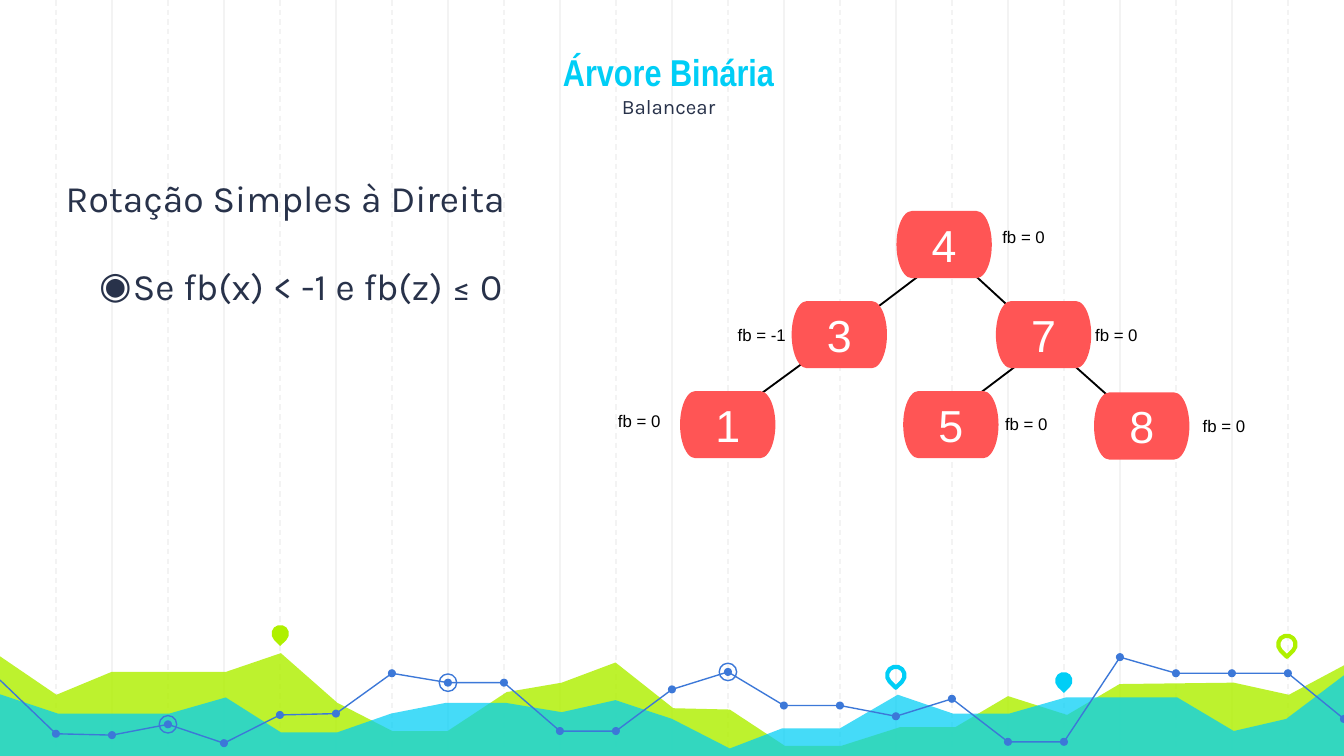
"""Build a slide on the simple right rotation of a balanced binary tree."""
from lxml.etree import SubElement
from pptx import Presentation
from pptx.dml.color import RGBColor
from pptx.enum.dml import MSO_LINE as Dash
from pptx.enum.shapes import MSO_CONNECTOR as Connector, MSO_SHAPE as Shape
from pptx.enum.text import MSO_ANCHOR as Anchor, PP_ALIGN as Align
from pptx.oxml.ns import qn
from pptx.util import Inches, Pt

GRID = RGBColor(0xF3, 0xF3, 0xF3)
LIME = RGBColor(0xAF, 0xF0, 0x00)
CYAN = RGBColor(0x00, 0xCE, 0xF6)
BLUE = RGBColor(0x3C, 0x78, 0xD8)
NAVY = RGBColor(0x28, 0x32, 0x4A)
RED = RGBColor(0xFF, 0x55, 0x55)
WHITE = RGBColor(0xFF, 0xFF, 0xFF)
BLACK = RGBColor(0x00, 0x00, 0x00)

TITLE = {"name": "Arial Narrow", "size": Pt(20), "bold": True}
SUBTITLE = {"name": "Karla", "size": Pt(11), "bold": False}
BODY = {"name": "Karla", "size": Pt(20)}
NODE = {"name": "Arial", "size": Pt(24)}
LABEL = {"name": "Arial", "size": Pt(9)}
STEP = 10 / 24


def paint(shape, fill=None, line=None, width=0.75):
    shape.shadow.inherit = False
    if fill is None:
        shape.fill.background()
    else:
        shape.fill.solid()
        shape.fill.fore_color.rgb = fill
    if line is None:
        shape.line.fill.background()
    else:
        shape.line.color.rgb = line
        shape.line.width = Pt(width)


def write(paragraph, text, font_format, color, align=Align.LEFT):
    paragraph.alignment = align
    run = paragraph.add_run()
    run.text = text
    for name, value in font_format.items():
        setattr(run.font, name, value)
    run.font.color.rgb = color


presentation = Presentation()
presentation.slide_width = Inches(10)
presentation.slide_height = Inches(10) * 9 // 16
slide = presentation.slides.add_slide(presentation.slide_layouts[6])
shapes = slide.shapes

lines = [
    (i * STEP, 0, i * STEP, 5.65, GRID, 0.75, Dash.DASH if i % 2 else Dash.SOLID)
    for i in range(1, 24)
]
edges = [
    (6.88, 2.02, 6.47, 2.33), (7.19, 1.99, 7.56, 2.33), (5.99, 2.69, 5.58, 2.99),
    (7.59, 2.7, 7.18, 3.01), (7.97, 2.7, 8.34, 3.03),
]
lines += [(*edge, BLACK, 1, Dash.SOLID) for edge in edges]
for *ends, color, width, dash in lines:
    connector = shapes.add_connector(Connector.STRAIGHT, *map(Inches, ends))
    connector.line.color.rgb = color
    connector.line.width = Pt(width)
    connector.line.dash_style = dash
    SubElement(connector.element.spPr, qn("a:effectLst"))

lime_area = [
    (-0.02, 4.87), (0.42, 5.17), (0.83, 5), (1.68, 5), (2.09, 4.86), (2.51, 5.23),
    (2.92, 5.44), (3.33, 5.44), (3.77, 5.15), (4.18, 5.08), (4.58, 4.93), (5.01, 5.27),
    (5.43, 5.28), (5.84, 5.55), (6.26, 5.55), (6.7, 5.41), (7.11, 5.41), (7.5, 5.18),
    (7.94, 5.32), (8.33, 5.09), (9.18, 5.08), (9.59, 5.17), (10.02, 4.94),
    (10.01, 5.64), (-0.03, 5.64),
]
cyan_area = [
    (-0.02, 5.16), (0.43, 5.31), (1.26, 5.31), (1.68, 5.19), (2.09, 5.45), (2.51, 5.45),
    (2.91, 5.31), (3.32, 5.23), (3.76, 5.23), (4.18, 5.3), (4.58, 5.21), (5, 5.35),
    (5.43, 5.57), (5.82, 5.42), (6.25, 5.42), (6.68, 5.17), (7.09, 5.31), (7.51, 5.31),
    (7.93, 5.19), (8.76, 5.19), (9.18, 5.44), (9.57, 5.35), (10.02, 5.01),
    (10.02, 5.65), (-0.03, 5.65),
]
for points, color, opacity in [(lime_area, LIME, 82), (cyan_area, CYAN, 73)]:
    points = [(Inches(x), Inches(y)) for x, y in points]
    builder = shapes.build_freeform(*points[0])
    builder.add_line_segments(points[1:], close=True)
    area = builder.convert_to_shape()
    paint(area, color)
    color_element = area.element.spPr.find(qn("a:solidFill"))[0]
    SubElement(color_element, qn("a:alpha"), val=str(opacity * 1000))

pins = [
    (2.02, 4.65, LIME, None), (6.6, 4.96, None, CYAN),
    (7.85, 5, CYAN, None), (9.51, 4.73, None, LIME),
]
for left, top, fill, line in pins:
    pin = shapes.add_shape(
        Shape.TEAR, Inches(left), Inches(top), Inches(0.13), Inches(0.13))
    pin.rotation = 135
    paint(pin, fill, line, 2.25)

series = [
    5.06, 5.46, 5.47, 5.39, 5.53, 5.32, 5.31, 5.01, 5.08, 5.08, 5.44, 5.44, 5.13,
    5, 5.25, 5.25, 5.33, 5.2, 5.52, 5.52, 4.89, 5.01, 5.01, 5.01, 5.35,
]
series_points = [(i * STEP, y) for i, y in enumerate(series)]
for first, last in [(0, 11), (11, 20), (20, 24)]:
    points = [(Inches(x), Inches(y)) for x, y in series_points[first:last + 1]]
    builder = shapes.build_freeform(*points[0])
    builder.add_line_segments(points[1:], close=False)
    paint(builder.convert_to_shape(), line=BLUE)

dots = [(x, y, 0.06, BLUE, None) for x, y in series_points[1:]]
rings = [(*series_points[i], 0.13, None, BLUE) for i in (3, 8, 13)]
for x, y, size, fill, line in dots + rings:
    marker = shapes.add_shape(
        Shape.OVAL, Inches(x - size / 2), Inches(y - size / 2), Inches(size), Inches(size))
    paint(marker, fill, line)

heading = shapes.add_textbox(Inches(1.15), Inches(0.2), Inches(7.65), Inches(0.78))
body = shapes.add_textbox(Inches(0.39), Inches(1.2), Inches(4.3), Inches(1.64))
for box, anchor in [(heading, Anchor.BOTTOM), (body, Anchor.TOP)]:
    frame_format = {
        "word_wrap": True, "vertical_anchor": anchor,
        "margin_top": Inches(0.1), "margin_bottom": Inches(0.1),
    }
    for name, value in frame_format.items():
        setattr(box.text_frame, name, value)

paragraph = heading.text_frame.paragraphs[0]
write(paragraph, "Árvore Binária", TITLE, CYAN, Align.CENTER)
paragraph.add_line_break()
write(paragraph, "Balancear", SUBTITLE, NAVY, Align.CENTER)

paragraph = body.text_frame.paragraphs[0]
write(paragraph, "Rotação Simples à Direita", BODY, NAVY, Align.JUSTIFY)
paragraph = body.text_frame.add_paragraph()
write(paragraph, "Se fb(x) < -1 e fb(z) ≤ 0", BODY, NAVY, Align.JUSTIFY)
paragraph.space_before = Pt(23.5)
properties = paragraph._p.get_or_add_pPr()
properties.set("marL", str(Inches(0.5)))
properties.set("indent", str(Inches(-0.25)))
bullet_color = SubElement(properties, qn("a:buClr"))
SubElement(bullet_color, qn("a:srgbClr"), val=str(NAVY))
SubElement(properties, qn("a:buFont"), typeface="Karla")
SubElement(properties, qn("a:buChar"), char="◉")

nodes = [
    ("4", 6.67, 1.57, "fb = 0", 7.36, 1.64),
    ("3", 5.89, 2.24, "fb = -1", 5.39, 2.37),
    ("7", 7.41, 2.24, "fb = 0", 8.05, 2.37),
    ("1", 5.06, 2.91, "fb = 0", 4.5, 3.01),
    ("5", 6.72, 2.91, "fb = 0", 7.38, 3.03),
    ("8", 8.14, 2.92, "fb = 0", 8.85, 3.04),
]
for key, left, top, balance, label_left, label_top in nodes:
    node = shapes.add_shape(
        Shape.FLOWCHART_TERMINATOR, Inches(left), Inches(top), Inches(0.71), Inches(0.5))
    paint(node, RED)
    node.text_frame.vertical_anchor = Anchor.MIDDLE
    write(node.text_frame.paragraphs[0], key, NODE, WHITE, Align.CENTER)
    label = shapes.add_textbox(
        Inches(label_left), Inches(label_top), Inches(0.63), Inches(0.25))
    label.text_frame.word_wrap = True
    write(label.text_frame.paragraphs[0], balance, LABEL, BLACK)

presentation.save("out.pptx")
